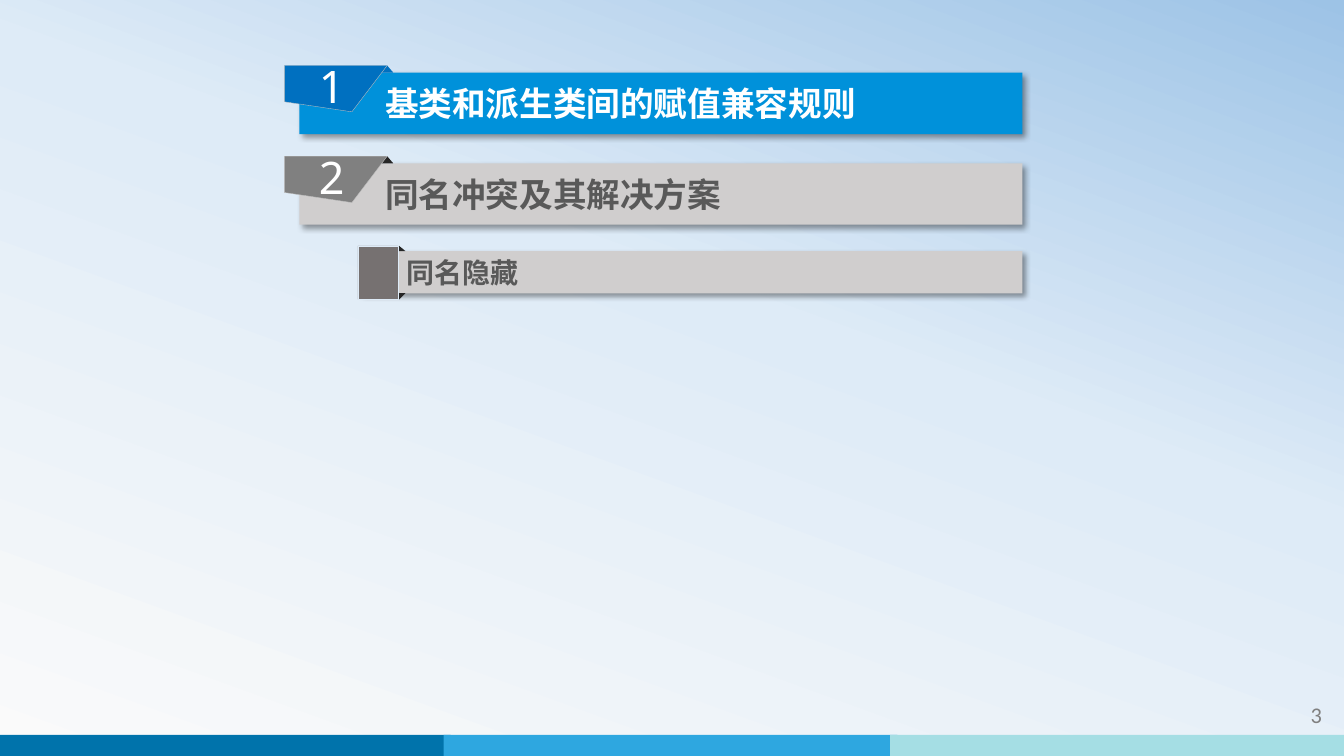
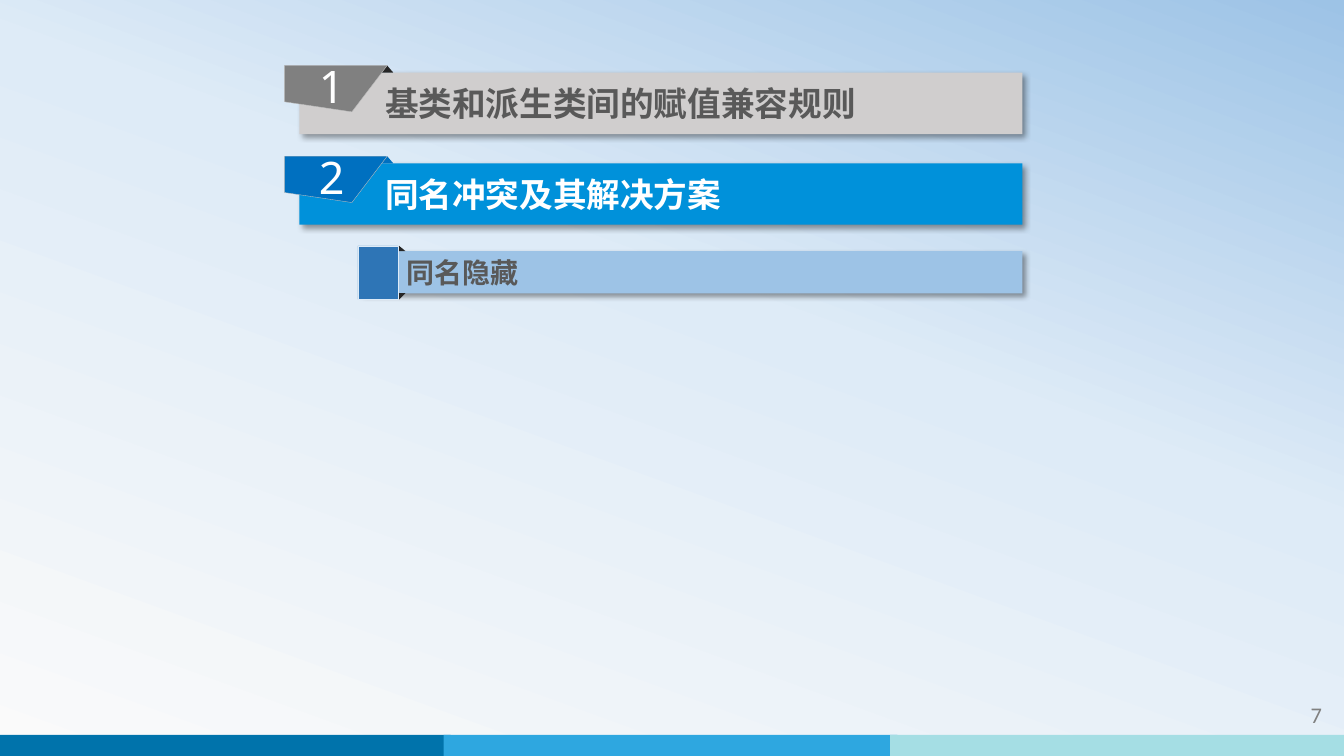
import copy

import lxml.etree
import pptx
import pptx.dml.color
import pptx.enum.shapes
import pptx.enum.text
import pptx.oxml.ns
import pptx.util

Inches = pptx.util.Inches
Pt = pptx.util.Pt
qn = pptx.oxml.ns.qn
Shapes = pptx.enum.shapes.MSO_SHAPE
Align = pptx.enum.text.PP_ALIGN
Anchor = pptx.enum.text.MSO_ANCHOR

TOPICS = ["基类和派生类间的赋值兼容规则", "同名冲突及其解决方案"]
SUBTOPIC = "同名隐藏"


def rgb(code):
    return pptx.dml.color.RGBColor.from_string(code)


class Agenda:
    """Agenda slides that highlight the current topic."""

    heading_font = "Noto Sans CJK SC"
    number_font = "Noto Sans"
    page_font = "Calibri"
    bands = ["0073AB", "2EA7E0", "A5DEE4"]
    backdrop = [(0, "FAFAFA"), (0.58, "DEEBF7"), (1, "9DC3E6")]
    active = {"bar": "0091DA", "tag": "0070C0", "fold": "0070C0", "text": "FFFFFF"}
    idle = {"bar": "D0CECE", "tag": "808080", "fold": "262626", "text": "595959"}
    sub_active = {"bar": "9DC3E6", "tab": "2E75B6"}
    sub_idle = {"bar": "D0CECE", "tab": "767171"}

    def __init__(self):
        self.deck = pptx.Presentation()
        self.deck.slide_width = Inches(13.33)
        self.deck.slide_height = Inches(7.5)
        self.slide = None
        self.paint_backdrop()

    def paint_backdrop(self):
        master = self.deck.slide_master
        fill = master.background.fill
        fill.gradient()
        fill.gradient_angle = 70
        stop_list = next(master.element.iter(qn("a:gsLst")))
        stop_list.append(copy.deepcopy(stop_list[-1]))
        for stop, (position, color) in zip(fill.gradient_stops, self.backdrop):
            stop.position = position
            stop.color.rgb = rgb(color)

    def start_slide(self, page):
        self.slide = self.deck.slides.add_slide(self.deck.slide_layouts[6])
        for index, color in enumerate(self.bands):
            self.block(-0.03 + 4.43 * index, 7.29, 4.5, 0.21, color)
        footer = self.slide.shapes.add_textbox(
            Inches(11.62), Inches(6.91), Inches(1.59), Inches(0.4))
        self.label(footer, str(page), 16, self.page_font, "808080", Align.RIGHT)

    def paint(self, shape, color, outline=None):
        shape.shadow.inherit = False
        shape.fill.solid()
        shape.fill.fore_color.rgb = rgb(color)
        if outline:
            shape.line.color.rgb = rgb(outline)
            shape.line.width = Pt(0.25)
        else:
            shape.line.fill.background()
        return shape

    def block(self, left, top, width, height, color, outline=None, preset=Shapes.RECTANGLE):
        shape = self.slide.shapes.add_shape(
            preset, Inches(left), Inches(top), Inches(width), Inches(height))
        return self.paint(shape, color, outline)

    def fold(self, left, top, height, color):
        return self.block(left, top, 0.12, height, color, preset=Shapes.ISOSCELES_TRIANGLE)

    def label(self, shape, text, size, font, color, align=Align.LEFT, bold=False):
        frame = shape.text_frame
        frame.word_wrap = True
        paragraph = frame.paragraphs[0]
        paragraph.text = text
        paragraph.alignment = align
        style = paragraph.font
        style.size = Pt(size)
        style.bold = bold
        style.name = font
        style.color.rgb = rgb(color)
        properties = next(paragraph._p.iter(qn("a:defRPr")))
        lxml.etree.SubElement(properties, qn("a:ea"), typeface=font)
        return frame

    def cast_shadow(self, shape):
        effects = shape._element.spPr.find(qn("a:effectLst"))
        shadow = lxml.etree.SubElement(
            effects, qn("a:outerShdw"), blurRad=str(Pt(4)), dist=str(Pt(3)),
            dir="2700000", algn="tl", rotWithShape="0")
        shade = lxml.etree.SubElement(shadow, qn("a:srgbClr"), val="000000")
        lxml.etree.SubElement(shade, qn("a:alpha"), val="40000")

    def bar(self, left, top, width, height, color, text, size, text_color, indent):
        strip = self.block(left, top, width, height, color)
        self.cast_shadow(strip)
        frame = self.label(strip, text, size, self.heading_font, text_color, bold=True)
        frame.margin_left = Inches(indent)
        frame.vertical_anchor = Anchor.MIDDLE

    def topic(self, number, text, highlighted):
        look = self.active if highlighted else self.idle
        left, top = 2.97, 0.72 + 0.9 * (number - 1)
        self.bar(left, top, 7.17, 0.61, look["bar"], text, 24, look["text"], 0.85)
        self.fold(left + 0.81, top - 0.07, 0.07, look["fold"])
        self.tag(left - 0.15, top - 0.07, number, look["tag"])

    def tag(self, left, top, number, color):
        corners = [(Inches(left + dx), Inches(top + dy))
                   for dx, dy in [(0, 0), (1.02, 0), (0.67, 0.46), (0, 0.36)]]
        builder = self.slide.shapes.build_freeform(*corners[0])
        builder.add_line_segments(corners[1:], close=True)
        ribbon = self.paint(builder.convert_to_shape(), color, "BFBFBF")
        frame = self.label(ribbon, str(number), 32, self.number_font, "FFFFFF", Align.CENTER)
        frame.vertical_anchor = Anchor.MIDDLE
        frame.margin_left, frame.margin_top = Inches(0.09), Inches(0.04)
        frame.margin_right, frame.margin_bottom = Inches(0.17), Inches(0.1)

    def subtopic(self, text, highlighted):
        look = self.sub_active if highlighted else self.sub_idle
        left, top, height = 3.57, 2.49, 0.42
        self.bar(left, top, 6.57, height, look["bar"], text, 20, "595959", 0.46)
        self.fold(left + 0.33, top - 0.05, 0.05, "262626")
        lower_fold = self.fold(left + 0.33, top + height, 0.06, "262626")
        lower_fold._element.spPr.xfrm.set("flipV", "1")
        self.block(left - 0.02, top - 0.05, 0.4, 0.53, look["tab"], "DEEBF7")


def main():
    agenda = Agenda()
    for page, current in [(3, 1), (7, 2)]:
        agenda.start_slide(page)
        for number, text in enumerate(TOPICS, 1):
            agenda.topic(number, text, number == current)
        agenda.subtopic(SUBTOPIC, current == 2)
    agenda.deck.save("out.pptx")


if __name__ == "__main__":
    main()
